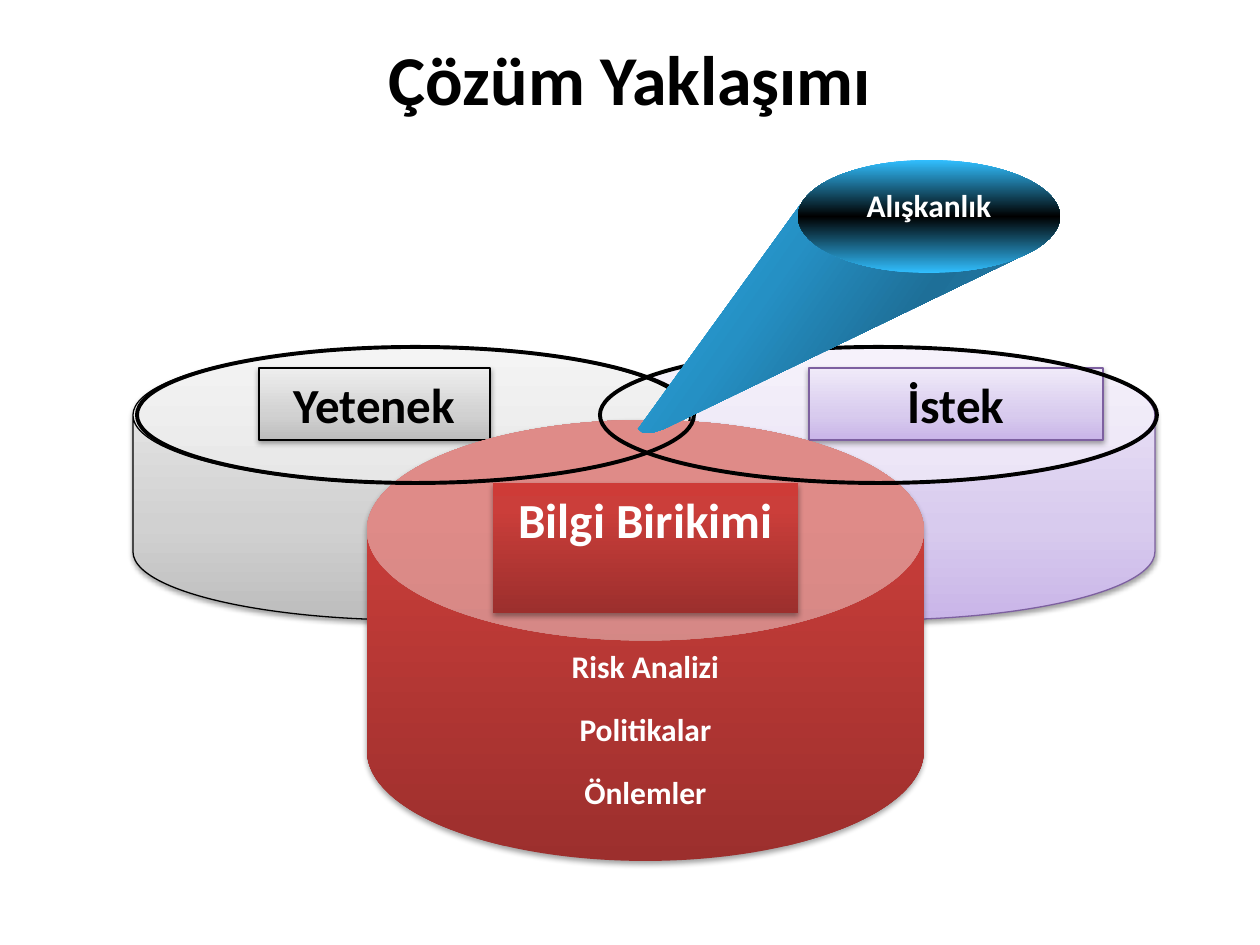
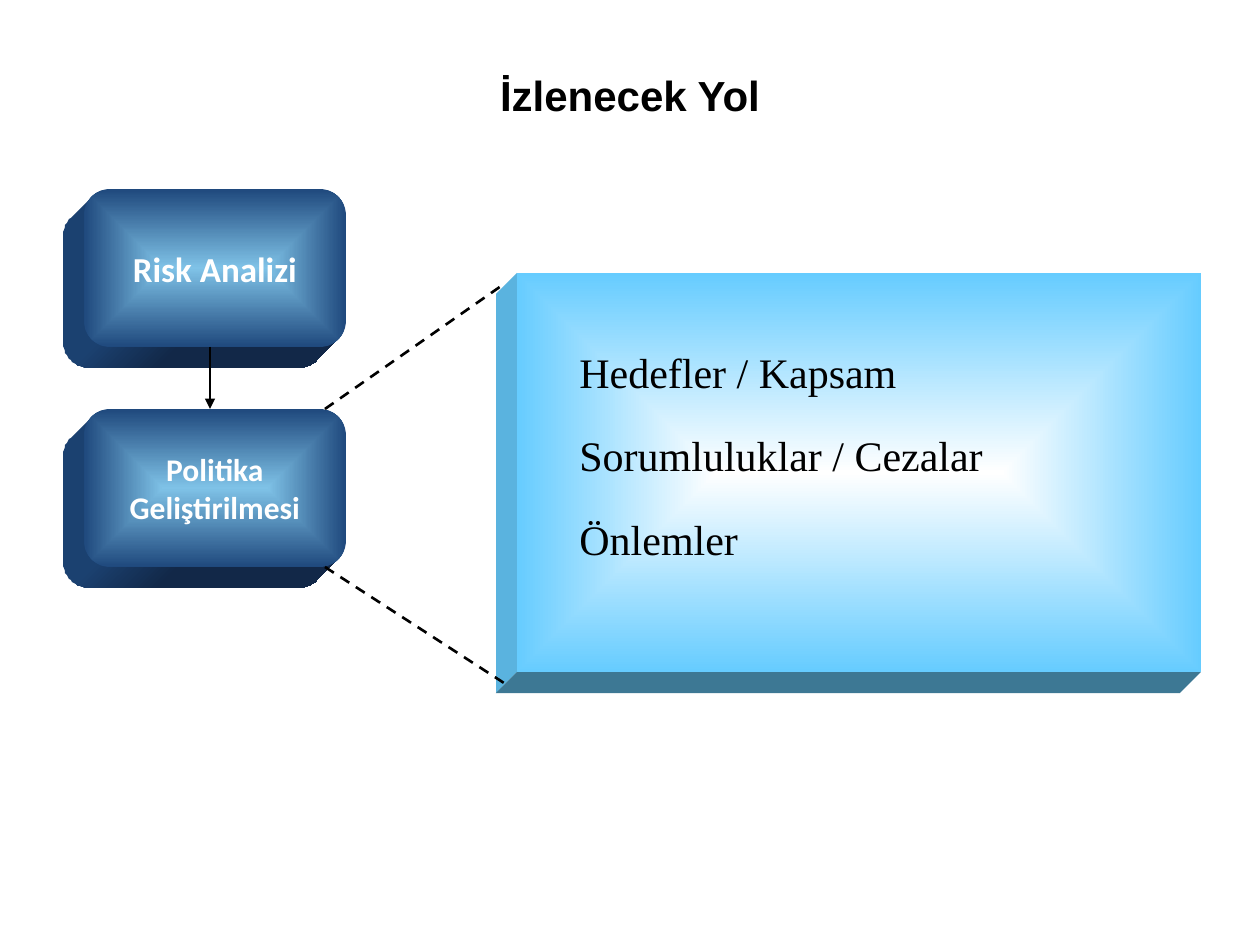
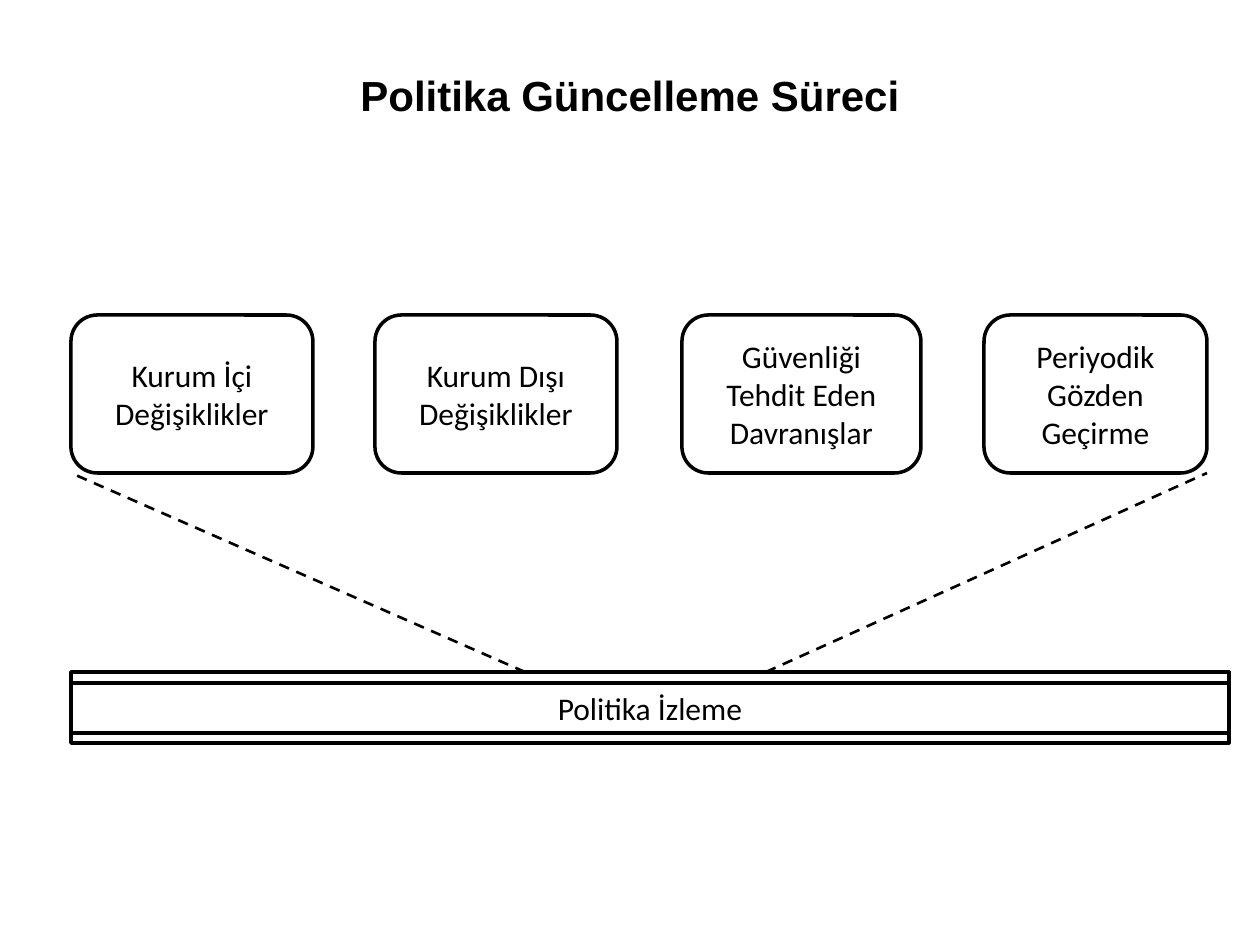
import math
from pptx import Presentation
from pptx import util as u
from pptx.dml.color import RGBColor
from pptx.enum import dml, shapes, text
from pptx.oxml import parse_xml
from pptx.oxml.ns import nsdecls, qn

EMU_PER_PX = 914400 / 126
BLACK = RGBColor(0, 0, 0)
WHITE = RGBColor(255, 255, 255)
VIOLET_LINE = RGBColor(0x7D, 0x60, 0xA0)
SIDE_LEFT = RGBColor(0x5A, 0xB3, 0xDF)
SIDE_BOTTOM = RGBColor(0x3D, 0x78, 0x94)

VIOLET = [(0, "C9B5E8"), (35, "D8CBEE"), (100, "F0EAF9")]
GREY = [(0, "BDBDBD"), (35, "D1D1D1"), (100, "EEEEEE")]
RED = [(0, "9C2F2D"), (80, "CB3E3A"), (100, "CE3B37")]
CONE = [(0, "2CADEA"), (35, "2590C4"), (65, "1E6F98"), (100, "2687B6")]
CONE_TOP = [(0, "31BFFF"), (50, "000000"), (100, "31BFFF")]
NAVY = [(0, "7FC2E7"), (100, "1F497D")]
NAVY_SIDE = [(0, "1B4170"), (40, "1B4170"), (60, "122848"), (100, "122848")]
SKY = [(0, "FFFFFF"), (100, "66CCFF")]

MAIN_TITLE = ("Çözüm Yaklaşımı", 40, "Calibri")
PATH_TITLE = ("İzlenecek Yol", 24, "Arial")
UPDATE_TITLE = ("Politika Güncelleme Süreci", 24, "Arial")

CYLINDERS = [
    ((598, 347, 557, 273), (809, 368, 294, 72), "İstek", VIOLET, VIOLET_LINE, BLACK),
    ((133, 347, 557, 273), (259, 368, 231, 72), "Yetenek", GREY, BLACK, BLACK),
    ((367, 420, 557, 441), (493, 483, 305, 130), "Bilgi Birikimi", RED, None, WHITE),
]
RINGS = [(600, 347, 557, 136), (137, 347, 557, 136)]
CONE_POINTS = [(800, 205), (638, 429), (643, 433), (652, 433), (664, 429), (1022, 256), (929, 216)]
HABIT_ELLIPSE = (798, 160, 262, 113)
HABIT_LABEL = (798, 180, 262, 50)
KNOWLEDGE = ["Risk Analizi", "Politikalar", "Önlemler"]

STEPS = [(["Risk Analizi"], 189, 20), (["Politika", "Geliştirilmesi"], 409, 18)]
DETAIL_PANEL = (517, 273, 684, 399)
DETAILS = ["Hedefler / Kapsam", "Sorumluluklar / Cezalar", "Önlemler"]
ZOOM_LINES = [((325, 409), (504, 284)), ((325, 567), (504, 683))]
DEPTH = 21
CORNER = 0.167

TRIGGERS = [
    (71, 242, ["Kurum İçi", "Değişiklikler"]),
    (375, 242, ["Kurum Dışı", "Değişiklikler"]),
    (682, 239, ["Güvenliği", "Tehdit Eden", "Davranışlar"]),
    (984, 223, ["Periyodik", "Gözden", "Geçirme"]),
]
FUNNEL_LINES = [((525, 672), (71, 473)), ((766, 672), (1207, 473))]
MONITOR_BARS = [((71, 672, 1158, 71), []), ((71, 683, 1158, 50), ["Politika İzleme"])]


def px(value):
    return u.Emu(round(value * EMU_PER_PX))


def write(shape, lines, size, color=BLACK, font="Calibri", bold=True, align=text.PP_ALIGN.CENTER,
          anchor=text.MSO_ANCHOR.TOP, wrap=True, gap=0):
    frame = shape.text_frame
    frame.word_wrap = wrap
    frame.auto_size = text.MSO_AUTO_SIZE.NONE
    frame.vertical_anchor = anchor
    for index, line in enumerate(lines):
        paragraph = frame.paragraphs[0] if index == 0 else frame.add_paragraph()
        paragraph.alignment = align
        if index:
            paragraph.space_before = u.Pt(gap)
        run = paragraph.add_run()
        run.text = line
        run.font.size = u.Pt(size)
        run.font.name = font
        run.font.bold = bold
        run.font.color.rgb = color


def paint(shape, fill=None, angle=270, line=None, width=0.75, shadow=False):
    shape.shadow.inherit = False
    properties = shape._element.spPr
    if isinstance(fill, RGBColor):
        shape.fill.solid()
        shape.fill.fore_color.rgb = fill
    else:
        shape.fill.background()
    if isinstance(fill, list):
        stops = "".join(f'<a:gs pos="{position * 1000}"><a:srgbClr val="{color}"/></a:gs>'
                        for position, color in fill)
        if angle is None:
            course = ('<a:path path="shape"><a:fillToRect l="50000" t="50000" '
                      'r="50000" b="50000"/></a:path>')
        else:
            course = f'<a:lin ang="{angle * 60000}" scaled="0"/>'
        gradient = parse_xml(f'<a:gradFill {nsdecls("a")} rotWithShape="1">'
                             f'<a:gsLst>{stops}</a:gsLst>{course}</a:gradFill>')
        properties.replace(properties.find(qn("a:noFill")), gradient)
    if line is None:
        shape.line.fill.background()
    else:
        shape.line.color.rgb = line
        shape.line.width = u.Pt(width)
    if shadow:
        properties.find(qn("a:effectLst")).append(parse_xml(
            f'<a:outerShdw {nsdecls("a")} blurRad="40000" dist="21000" dir="5400000" '
            'rotWithShape="0"><a:srgbClr val="000000"><a:alpha val="37000"/></a:srgbClr>'
            '</a:outerShdw>'))


def add_preset(slide, kind, box, adjustment=None, **look):
    shape = slide.shapes.add_shape(kind, *map(px, box))
    if adjustment is not None:
        shape.adjustments[0] = adjustment
    paint(shape, **look)
    return shape


def add_outline(slide, points, **look):
    builder = slide.shapes.build_freeform(*points[0], scale=EMU_PER_PX)
    builder.add_line_segments(points[1:], close=True)
    paint(builder.convert_to_shape(), **look)


def add_label(slide, box, lines, size, **style):
    write(slide.shapes.add_textbox(*map(px, box)), lines, size, **style)


def add_line(slide, start, end, dashed=True):
    connector = slide.shapes.add_connector(shapes.MSO_CONNECTOR.STRAIGHT, *map(px, start + end))
    connector.line.color.rgb = BLACK
    connector.line.width = u.Pt(1.5)
    properties = connector._element.spPr
    if dashed:
        connector.line.dash_style = dml.MSO_LINE.DASH
    else:
        connector.line._get_or_add_ln().append(
            parse_xml(f'<a:tailEnd {nsdecls("a")} type="triangle"/>'))
    properties.append(parse_xml(f'<a:effectLst {nsdecls("a")}/>'))


def add_slide(presentation, title, size, font):
    slide = presentation.slides.add_slide(presentation.slide_layouts[5])
    holder = slide.shapes.title
    holder.left, holder.top, holder.width, holder.height = map(px, (0, 0, 1260, 126))
    write(holder, [title], size, font=font, anchor=text.MSO_ANCHOR.BOTTOM)
    return slide


def add_step(slide, lines, top, size):
    left, width, height = 84, 262, 158
    radius = CORNER * height
    centers = {
        "top left": (left + radius, top + radius),
        "bottom left": (left + radius, top + height - radius),
        "bottom right": (left + width - radius, top + height - radius),
    }

    def arc(corner, first, last, shift=DEPTH):
        x, y = centers[corner]
        return [(round(x - shift + radius * math.cos(math.radians(angle))),
                 round(y + shift + radius * math.sin(math.radians(angle))))
                for angle in range(first, last - 1, -5)]

    side = (arc("top left", 225, 180) + arc("bottom left", 180, 90)
            + arc("bottom right", 90, 45) + arc("bottom right", 45, 45, 0)
            + arc("top left", 225, 225, 0))
    add_outline(slide, side, fill=NAVY_SIDE, angle=45)
    front = add_preset(slide, shapes.MSO_SHAPE.ROUNDED_RECTANGLE, (left, top, width, height),
                       CORNER, fill=NAVY, angle=None)
    write(front, lines, size, WHITE, anchor=text.MSO_ANCHOR.MIDDLE, wrap=False)


def build_approach(presentation):
    slide = add_slide(presentation, *MAIN_TITLE)
    for can, plate, name, fill, line, color in CYLINDERS:
        look = dict(fill=fill, line=line, shadow=True)
        add_preset(slide, shapes.MSO_SHAPE.CAN, can, 0.5, **look)
        write(add_preset(slide, shapes.MSO_SHAPE.RECTANGLE, plate, **look), [name], 28, color)
    for ring in RINGS:
        add_preset(slide, shapes.MSO_SHAPE.OVAL, ring, line=BLACK, width=2.25)
    add_outline(slide, CONE_POINTS, fill=CONE, angle=35)
    add_preset(slide, shapes.MSO_SHAPE.OVAL, HABIT_ELLIPSE, fill=CONE_TOP, angle=90)
    add_label(slide, HABIT_LABEL, ["Alışkanlık"], 18, color=WHITE)
    for index, name in enumerate(KNOWLEDGE):
        add_label(slide, (367, 641 + 63 * index, 557, 50), [name], 18, color=WHITE)


def build_path(presentation):
    slide = add_slide(presentation, *PATH_TITLE)
    left, top, width, height = DETAIL_PANEL
    right, bottom = left + width, top + height
    back_left, back_bottom = left - DEPTH, bottom + DEPTH
    add_outline(slide, [(left, top), (left, bottom), (back_left, back_bottom),
                        (back_left, top + DEPTH)], fill=SIDE_LEFT)
    add_outline(slide, [(left, bottom), (right, bottom), (right - DEPTH, back_bottom),
                        (back_left, back_bottom)], fill=SIDE_BOTTOM)
    add_preset(slide, shapes.MSO_SHAPE.RECTANGLE, DETAIL_PANEL, fill=SKY, angle=None)
    for step in STEPS:
        add_step(slide, *step)
    for start, end in ZOOM_LINES:
        add_line(slide, start, end)
    add_line(slide, (210, 347), (210, 409), dashed=False)
    add_label(slide, (567, 340, 588, 242), DETAILS, 24, font="Times New Roman", bold=False,
              align=text.PP_ALIGN.LEFT, gap=19)


def build_update(presentation):
    slide = add_slide(presentation, *UPDATE_TITLE)
    look = dict(fill=WHITE, line=BLACK, width=2)
    for left, width, lines in TRIGGERS:
        box = add_preset(slide, shapes.MSO_SHAPE.ROUNDED_RECTANGLE, (left, 315, width, 158),
                         CORNER, **look)
        write(box, lines, 18, bold=False, anchor=text.MSO_ANCHOR.MIDDLE, wrap=False)
    for start, end in FUNNEL_LINES:
        add_line(slide, start, end)
    for box, lines in MONITOR_BARS:
        bar = add_preset(slide, shapes.MSO_SHAPE.RECTANGLE, box, **look)
        write(bar, lines, 18, bold=False)


def main():
    presentation = Presentation()
    presentation.slide_width, presentation.slide_height = px(1260), px(945)
    build_approach(presentation)
    build_path(presentation)
    build_update(presentation)
    presentation.save("out.pptx")


if __name__ == "__main__":
    main()
